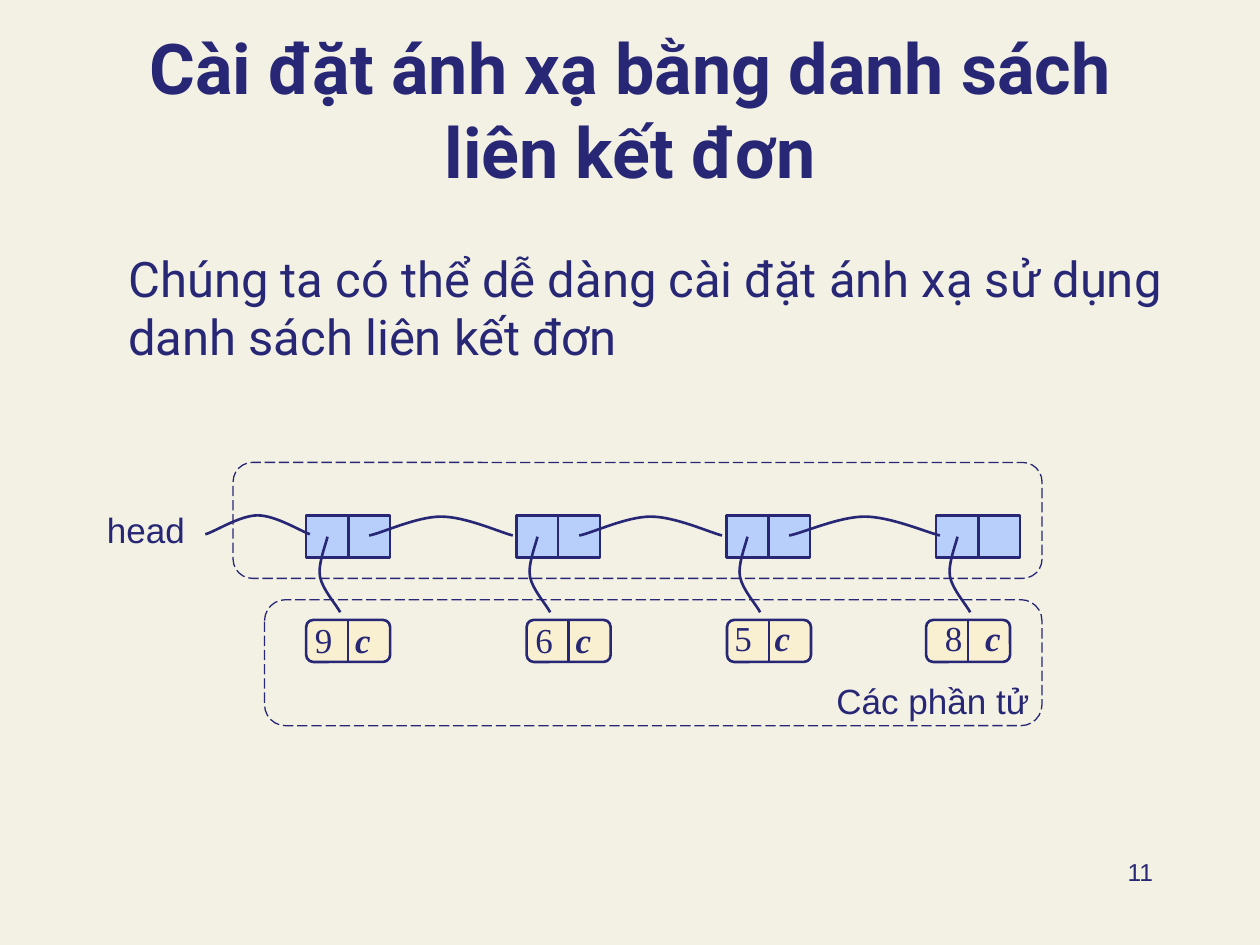
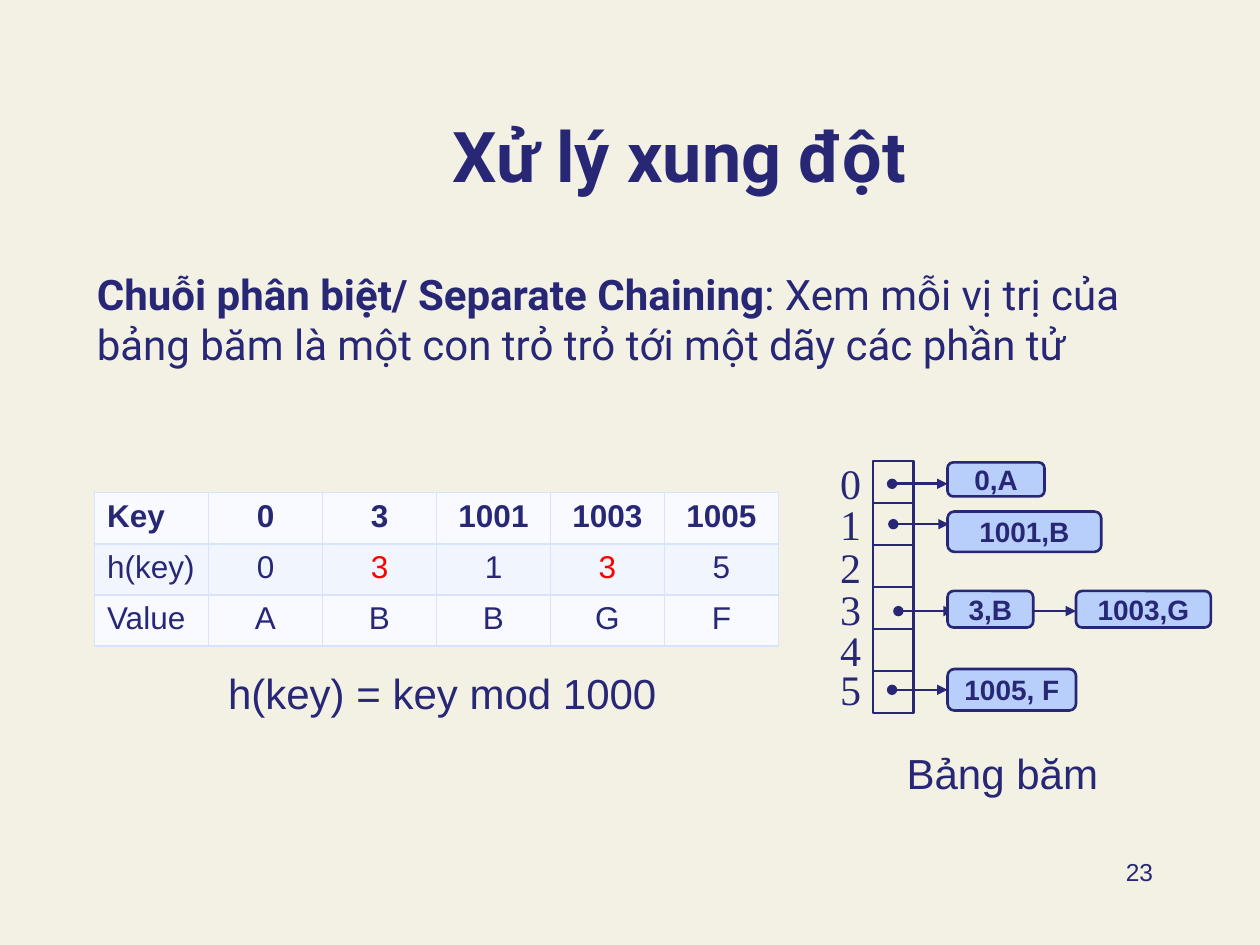
from lxml.etree import SubElement
from pptx import Presentation
from pptx.dml.color import RGBColor
from pptx.enum.dml import MSO_LINE_DASH_STYLE as Dash
from pptx.enum.shapes import MSO_CONNECTOR_TYPE as Link, MSO_SHAPE as Shape
from pptx.enum.text import MSO_ANCHOR as Anchor, PP_ALIGN as Align
from pptx.oxml.ns import qn
from pptx.util import Inches, Pt

# Shared look
INK, PAPER, BLUE, CREAM, RED = "272776", "F3F1E4", "B8CFFB", "F8F0D0", "FF0000"
ROW_FILLS, GRID = ("F8FAFF", "F0F5FE"), "D8E4FD"
HEADING, SANS, SERIF = "Roboto", "Arial", "Times New Roman"
NUMBER_AREA = (7.17, 6.75, 2.08, 0.5)
CELL = 1 / 3

# Slide 1: a map kept in a singly linked list
LIST_TITLE = "Cài đặt ánh xạ bằng danh sách liên kết đơn"
LIST_BODY = "Chúng ta có thể dễ dàng cài đặt ánh xạ sử dụng danh sách liên kết đơn"
NODE_LEFT, NODE_TOP, NODE_PITCH = 2.43, 4.09, 5 * CELL
NEXT_ENDS = [4.07, 5.73, 7.46]
RECORD_TOP = 4.92
# key, left of record, left of key text, top of key text
RECORDS = [
    ("9", 2.43, 2.40, 4.86),
    ("6", 4.18, 4.15, 4.86),
    ("5", 5.77, 5.73, 4.84),
    ("8", 7.35, 7.40, 4.84),
]
DASHED_FRAMES = [(1.85, 3.67, 6.42, 0.92), (2.1, 4.76, 6.17, 1)]
LIST_LABELS = [
    ("head", (0.75, 3.99, 0.82, 0.44)),
    ("Các phần tử", (6.54, 5.34, 1.75, 0.4)),
]
# Bezier points: start, then two controls and an end for each piece
NEXT_CURVE = [(0, 1), (0.09, 0.87), (0.33, 0), (0.5, 0), (0.67, 0), (0.9, 0.8), (1, 1)]
ELEMENT_CURVE = [(0.44, 0), (0.39, 0.08), (0, 0.37), (0.11, 0.53),
                 (0.22, 0.7), (0.83, 0.9), (1, 1)]

# Slide 2: separate chaining
CHAIN_TITLE = "Xử lý xung đột"
CHAIN_TERM = "Chuỗi phân biệt/ Separate Chaining"
CHAIN_BODY = ": Xem mỗi vị trị của bảng băm là một con trỏ trỏ tới một dãy các phần tử"
HASH_ROWS = [
    ["Key", "0", "3", "1001", "1003", "1005"],
    ["h(key)", "0", "3", "1", "3", "5"],
    ["Value", "A", "B", "B", "G", "F"],
]
COLLISION = (1, "3")  # row and hash value shown in red
BUCKET_LEFT, BUCKET_TOP, BUCKET_WIDTH = 6.93, 3.66, 0.32
BUCKET_LABEL_TOPS = [3.58, 3.91, 4.25, 4.58, 4.91, 5.22]
# entry, its area, then dot, tip and height of its arrow (None: joined at mid-side)
ENTRIES = [
    ("0,A", (7.52, 3.67, 0.77, 0.27), 7.08, 7.52, 3.84),
    ("1001,B", (7.52, 4.06, 1.22, 0.32), 7.09, 7.53, 4.16),
    ("1003,G", (8.54, 4.69, 1.07, 0.29), 8.07, 8.54, 4.85),
    ("3,B", (7.52, 4.69, 0.68, 0.29), 7.13, 7.57, 4.85),
    ("1005, F", (7.52, 5.31, 1.02, 0.33), 7.08, 7.52, None),
]
CHAIN_LABELS = [
    ("h(key) = key mod 1000", (1.69, 5.25, 3.64, 0.51)),
    ("Bảng băm", (7.05, 5.88, 1.81, 0.51)),
]


def rgb(code):
    return RGBColor.from_string(code)


def set_font(paragraph, size, face=SANS, bold=False, italic=False, color=INK):
    font = paragraph.font
    font.size, font.name, font.bold, font.italic = Pt(size), face, bold, italic
    font.color.rgb = rgb(color)


def add_text(slide, area, text, size, align=Align.LEFT, anchor=Anchor.TOP, **look):
    frame = slide.shapes.add_textbox(*map(Inches, area)).text_frame
    frame.word_wrap = True
    frame.vertical_anchor = anchor
    paragraph = frame.paragraphs[0]
    paragraph.text, paragraph.alignment = text, align
    set_font(paragraph, size, **look)
    return paragraph


def draw_outline(shape, fill=None, width=1.5):
    shape.shadow.inherit = False
    if fill:
        shape.fill.solid()
        shape.fill.fore_color.rgb = rgb(fill)
    else:
        shape.fill.background()
    shape.line.color.rgb = rgb(INK)
    shape.line.width = Pt(width)


def add_box(slide, area, fill=None, kind=Shape.RECTANGLE, width=1.5):
    box = slide.shapes.add_shape(kind, *map(Inches, area))
    draw_outline(box, fill, width)
    return box


def add_line(slide, start, end, arrow=False):
    line = slide.shapes.add_connector(Link.STRAIGHT, *map(Inches, (*start, *end)))
    line.line.color.rgb = rgb(INK)
    line.line.width = Pt(1.5)
    if arrow:
        ends = line.line._get_or_add_ln()
        SubElement(ends, qn("a:headEnd"), type="oval")
        SubElement(ends, qn("a:tailEnd"), type="triangle")
    SubElement(line._element.spPr, qn("a:effectLst"))
    return line


def add_curve(slide, curve, left, top, width, height):
    """Draw the control polygon, then turn each three segments into one Bezier piece."""
    points = [(Inches(left + x * width), Inches(top + y * height)) for x, y in curve]
    builder = slide.shapes.build_freeform(*points[0])
    builder.add_line_segments(points[1:], close=False)
    shape = builder.convert_to_shape()
    segments = list(shape._element.iter(qn("a:lnTo")))
    outline = segments[0].getparent()
    for i in range(0, len(segments), 3):
        piece = SubElement(outline, qn("a:cubicBezTo"))
        for segment in segments[i:i + 3]:
            piece.append(segment[0])
            outline.remove(segment)
    draw_outline(shape)


def start_slide(deck, title, title_area, number):
    slide = deck.slides.add_slide(deck.slide_layouts[6])
    slide.background.fill.solid()
    slide.background.fill.fore_color.rgb = rgb(PAPER)
    add_text(slide, title_area, title, 40, Align.CENTER, Anchor.BOTTOM,
             face=HEADING, bold=True)
    add_text(slide, NUMBER_AREA, number, 14, Align.RIGHT)
    return slide


def build_list_slide(deck):
    slide = start_slide(deck, LIST_TITLE, (0.75, 0.5, 8.5, 1.08), "11")
    add_text(slide, (0.92, 1.92, 8.42, 1.52), LIST_BODY, 28, face=HEADING)

    node_lefts = [NODE_LEFT + i * NODE_PITCH for i in range(len(RECORDS))]
    for left in node_lefts:
        for part in (left, left + CELL):
            add_box(slide, (part, NODE_TOP, CELL, CELL), BLUE)
    for left in node_lefts:
        add_curve(slide, ELEMENT_CURVE, left + 0.09, 4.26, 0.18, 0.6)
    add_curve(slide, NEXT_CURVE, 1.63, 4.09, 0.83, 0.15)
    for left, end in zip(node_lefts, NEXT_ENDS):
        add_curve(slide, NEXT_CURVE, left + 0.5, 4.1, end - left - 0.5, 0.15)

    for key, left, text_left, text_top in RECORDS:
        add_box(slide, (left, RECORD_TOP, 2 * CELL, CELL), CREAM, Shape.ROUNDED_RECTANGLE)
        middle = left + CELL
        add_line(slide, (middle, RECORD_TOP), (middle, RECORD_TOP + CELL))
        add_text(slide, (text_left, text_top, 0.34, 0.43), key, 20, face=SERIF)
        add_text(slide, (text_left + 0.32, text_top, 0.32, 0.43), "c", 20,
                 face=SERIF, bold=True, italic=True)

    for area in DASHED_FRAMES:
        frame = add_box(slide, area, kind=Shape.ROUNDED_RECTANGLE, width=0.75)
        frame.line.dash_style = Dash.LONG_DASH
    for label, area in LIST_LABELS:
        add_text(slide, area, label, 20)


def set_borders(cell, color):
    properties = cell._tc.get_or_add_tcPr()
    for side in ("lnL", "lnR", "lnT", "lnB"):
        border = SubElement(properties, qn(f"a:{side}"), w=str(Pt(1)))
        SubElement(SubElement(border, qn("a:solidFill")), qn("a:srgbClr"), val=color)


def add_hash_table(slide):
    columns = len(HASH_ROWS[0])
    table = slide.shapes.add_table(len(HASH_ROWS), columns, Inches(0.75), Inches(3.91),
                                   Inches(5.43), Inches(1.22)).table
    for r, values in enumerate(HASH_ROWS):
        for c, value in enumerate(values):
            cell = table.cell(r, c)
            set_borders(cell, GRID)
            cell.fill.solid()
            cell.fill.fore_color.rgb = rgb(ROW_FILLS[r % 2])
            cell.text = value
            paragraph = cell.text_frame.paragraphs[0]
            paragraph.alignment = Align.CENTER if c else Align.LEFT
            set_font(paragraph, 18, bold=r == 0,
                     color=RED if (r, value) == COLLISION else INK)


def add_entry(slide, text, area, dot_x, tip_x, arrow_y):
    _, top, _, height = area
    y = arrow_y or top + height / 2
    arrow = add_line(slide, (dot_x, y), (tip_x, y), arrow=True)
    entry = add_box(slide, area, BLUE, Shape.ROUNDED_RECTANGLE)
    if arrow_y is None:
        arrow.end_connect(entry, 1)
    entry.text_frame.vertical_anchor = Anchor.MIDDLE
    paragraph = entry.text_frame.paragraphs[0]
    paragraph.text, paragraph.alignment = text, Align.CENTER
    set_font(paragraph, 16, bold=True)


def build_chain_slide(deck):
    slide = start_slide(deck, CHAIN_TITLE, (2.64, 0.36, 5.5, 1.25), "23")
    body = add_text(slide, (0.67, 2.08, 8.35, 1.19), CHAIN_TERM, 24, face=HEADING)
    body.runs[0].font.bold = True
    body.add_run().text = CHAIN_BODY

    add_hash_table(slide)
    for bucket, label_top in enumerate(BUCKET_LABEL_TOPS):
        top = BUCKET_TOP + bucket * CELL
        add_box(slide, (BUCKET_LEFT, top, BUCKET_WIDTH, CELL))
        add_text(slide, (6.57, label_top, 0.37, 0.5), str(bucket), 24, face=SERIF)
    for entry in ENTRIES:
        add_entry(slide, *entry)
    for label, area in CHAIN_LABELS:
        add_text(slide, area, label, 24, Align.CENTER)


def main():
    deck = Presentation()
    deck.slide_width, deck.slide_height = Inches(10), Inches(7.5)
    build_list_slide(deck)
    build_chain_slide(deck)
    deck.save("out.pptx")


if __name__ == "__main__":
    main()
